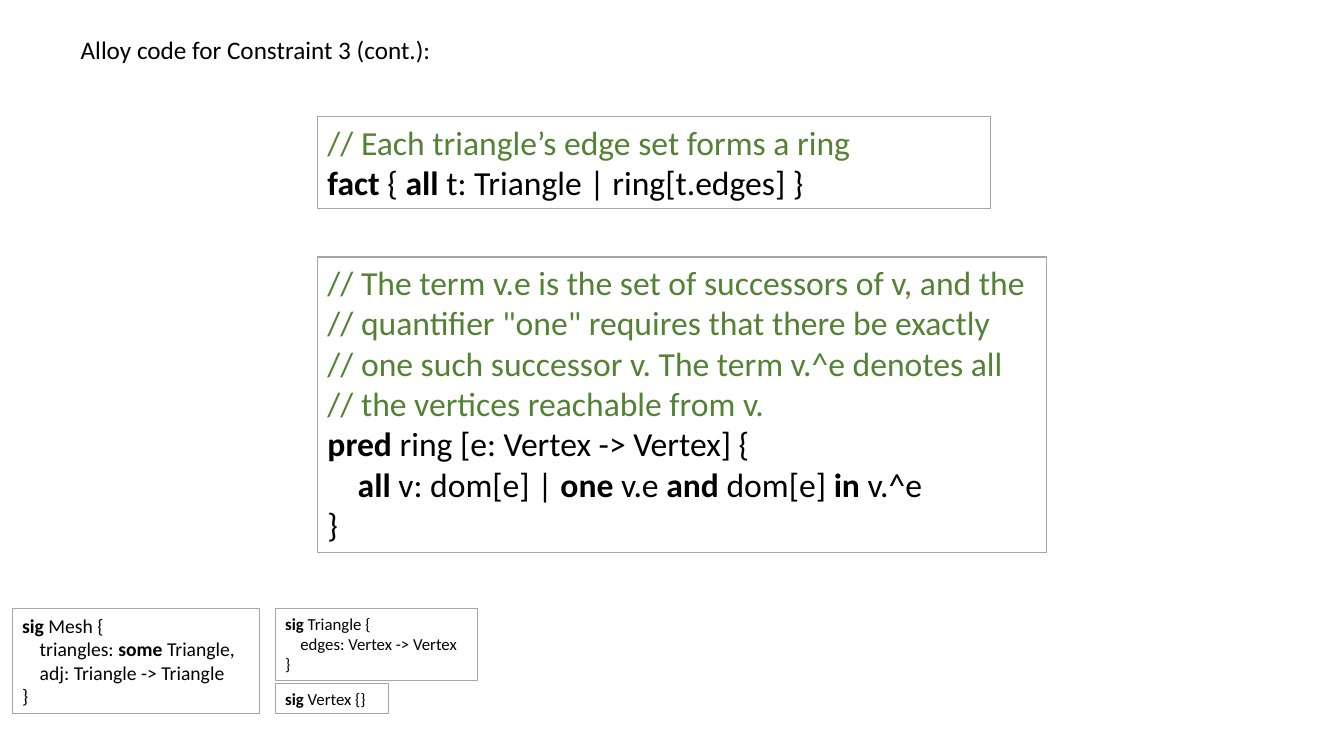
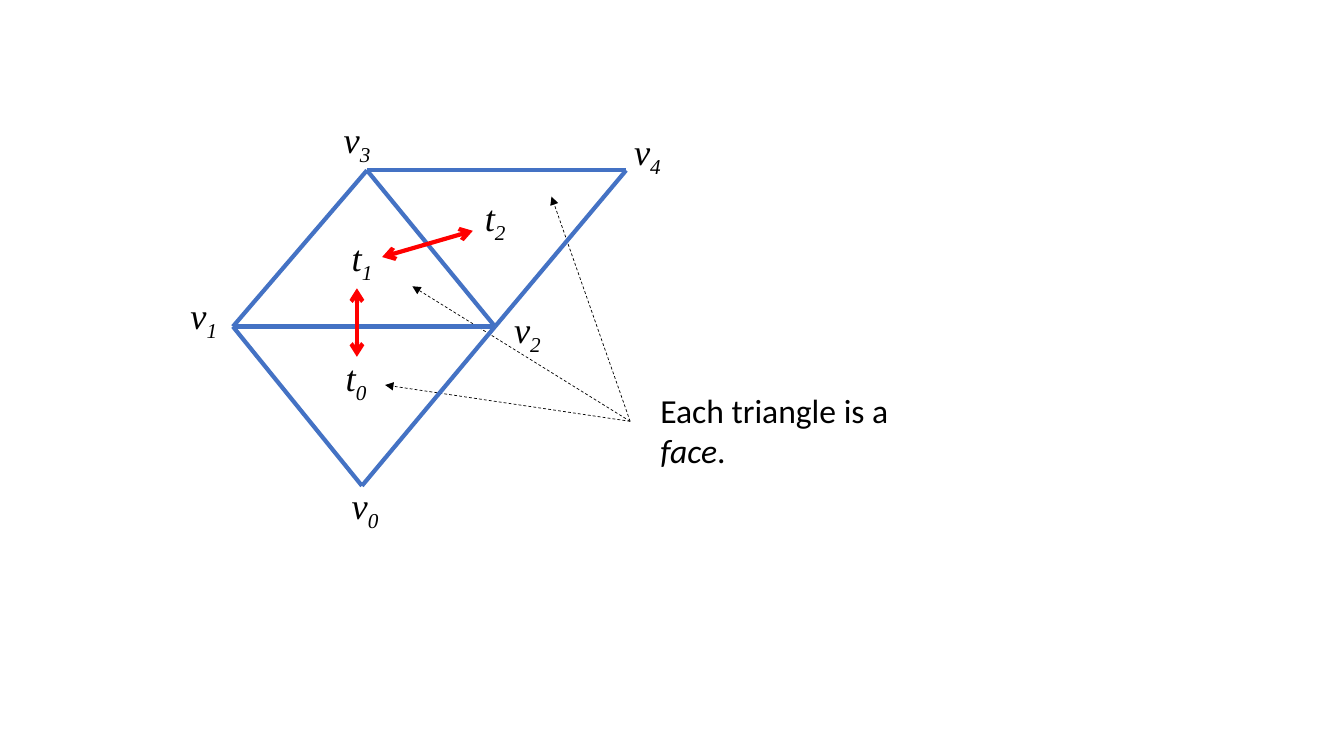
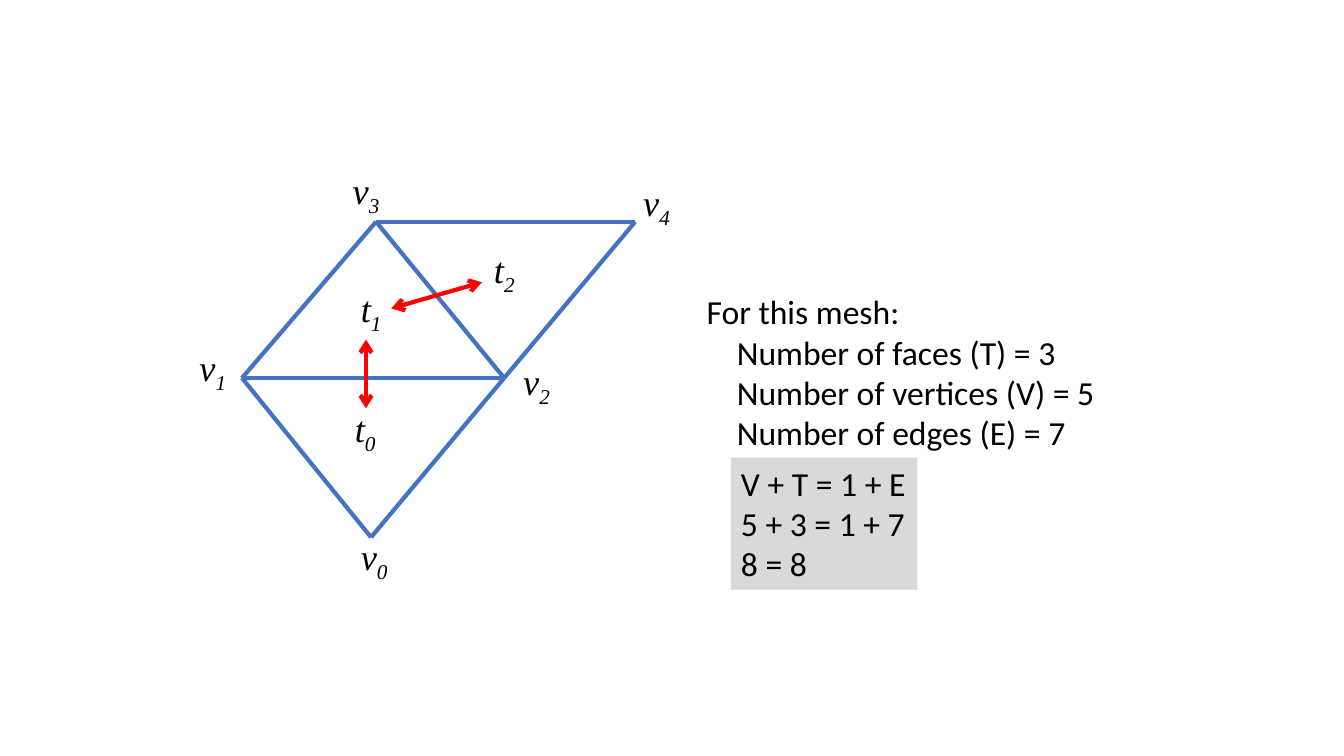
from pptx import Presentation
from pptx.dml.color import RGBColor
from pptx.enum.dml import MSO_LINE
from pptx.enum.shapes import MSO_CONNECTOR
from pptx.enum.text import MSO_ANCHOR, MSO_AUTO_SIZE, PP_ALIGN
from pptx.oxml.ns import qn
from pptx.util import Inches, Pt
from lxml import etree

STRAIGHT = MSO_CONNECTOR.STRAIGHT
DASH = MSO_LINE.DASH
GROW = MSO_AUTO_SIZE.SHAPE_TO_FIT_TEXT
TOP = MSO_ANCHOR.TOP
LEFT = PP_ALIGN.LEFT

BLACK, GREEN, BLUE, RED = "000000", "548235", "4472C4", "FF0000"
BORDER, PANEL = "A6A6A6", "D9D9D9"
SANS, SERIF = "Calibri", "Times New Roman"
INDENT_EM = 0.9
TITLE_ONLY, BLANK = 5, 6

# Text markup: *emphasis*, a leading tab indents, a leading // is a code comment.
TITLE = "Alloy code for Constraint 3 (cont.):"
CODE_BOXES = [  # position and size, text size, lines
    ((3.15, 1.16, 6.67, 0.91), 24, [
        "// Each triangle’s edge set forms a ring",
        "*fact* { *all* t: Triangle | ring[t.edges] }"]),
    ((3.15, 2.55, 7.23, 2.93), 24, [
        "// The term v.e is the set of successors of v, and the",
        '// quantifier "one" requires that there be exactly',
        "// one such successor v. The term v.^e denotes all",
        "// the vertices reachable from v.",
        "*pred* ring [e: Vertex -> Vertex] {",
        "\t*all* v: dom[e] | *one* v.e *and* dom[e] *in* v.^e",
        "}"]),
    ((0.12, 6.04, 2.45, 1.04), 14, [
        "*sig* Mesh {",
        "\ttriangles: *some* Triangle,",
        "\tadj: Triangle -> Triangle",
        "}"]),
    ((2.73, 6.04, 2.01, 0.71), 12, [
        "*sig* Triangle {",
        "\tedges: Vertex -> Vertex",
        "}"]),
    ((2.73, 6.78, 1.12, 0.3), 12, ["*sig* Vertex {}"]),
]

VERTICES = {0: (3.59, 4.82), 1: (2.31, 3.24), 2: (4.91, 3.24),
            3: (3.64, 1.69), 4: (6.21, 1.69)}
EDGES = [(3, 4), (2, 4), (3, 2), (1, 3), (1, 2), (1, 0), (0, 2)]
LABEL_SIZES = {"v": (0.48, 0.54), "t": (0.42, 0.54)}
LABELS = {"v4": (6.19, 1.23), "v2": (5, 3), "v3": (3.31, 1.11),
          "v1": (1.79, 2.86), "v0": (3.39, 4.74), "t0": (3.33, 3.47),
          "t1": (3.39, 2.28), "t2": (4.71, 1.89)}
ADJACENCIES = [((3.54, 2.86), (3.54, 3.54)), ((4.69, 2.29), (3.79, 2.55))]

FACE_NOTE = ["Each triangle is a *face*."]
POINTER_START = (6.25, 4.18)
FACE_POINTS = [(3.82, 3.82), (4.09, 2.84), (5.47, 1.95)]

MESH_SHIFT = (0.09, 0.51)
COUNTS = ["For this mesh:", "\tNumber of faces (T) = 3",
          "\tNumber of vertices (V) = 5", "\tNumber of edges (E) = 7"]
FORMULA = ["V + T = 1 + E", "5 + 3 = 1 + 7", "8 = 8"]


def rgb(color):
    return RGBColor.from_string(color)


def add_run(p, text, size, color=BLACK, font=SANS, **formats):
    r = p.add_run()
    r.text = text
    r.font.color.rgb = rgb(color)
    for name, value in dict(name=font, size=Pt(size), **formats).items():
        setattr(r.font, name, value)
    return r


def write_lines(tf, lines, size, emphasis="bold"):
    for i, line in enumerate(lines):
        p = tf.add_paragraph() if i else tf.paragraphs[0]
        if line.startswith("\t"):
            p._p.get_or_add_pPr().set("marL", str(Pt(INDENT_EM * size)))
        color = GREEN if line.startswith("//") else BLACK
        for j, part in enumerate(line.strip().split("*")):
            if part:
                add_run(p, part, size, color, **{emphasis: j % 2 == 1})


def add_text_box(shapes, box, wrap=True, border=None, fill=None):
    """Add an empty, growing text box and return its text frame."""
    sp = shapes.add_textbox(*map(Inches, box))
    if border:
        sp.line.color.rgb = rgb(border)
        sp.line.width = Pt(0.75)
    if fill:
        sp.fill.solid()
        sp.fill.fore_color.rgb = rgb(fill)
    tf = sp.text_frame
    tf.word_wrap = wrap
    tf.auto_size = GROW
    return tf


def add_line(shapes, start, end, color, width, dash=None, head=None, tail=None):
    line = shapes.add_connector(STRAIGHT, *map(Inches, (*start, *end)))
    line.line.color.rgb = rgb(color)
    line.line.width = Pt(width)
    if dash:
        line.line.dash_style = dash
    ln = line.line._get_or_add_ln()
    for tag, kind in (("a:headEnd", head), ("a:tailEnd", tail)):
        if kind:
            etree.SubElement(ln, qn(tag), type=kind)
    etree.SubElement(line._element.spPr, qn("a:effectLst"))


def add_mesh(slide, shift=(0, 0)):
    group = slide.shapes.add_group_shape()
    shapes = group.shapes
    for a, b in EDGES:
        add_line(shapes, VERTICES[a], VERTICES[b], BLUE, 3)
    for (letter, index), place in LABELS.items():
        tf = add_text_box(shapes, place + LABEL_SIZES[letter], wrap=False)
        p = tf.paragraphs[0]
        add_run(p, letter, 26, font=SERIF, italic=True)
        r = add_run(p, index, 26, font=SERIF, italic=True)
        r.font._element.set("baseline", "-25000")
    for start, end in ADJACENCIES:
        add_line(shapes, start, end, RED, 3, head="arrow", tail="arrow")
    group.left += Inches(shift[0])
    group.top += Inches(shift[1])


def add_slide(prs, layout=BLANK):
    return prs.slides.add_slide(prs.slide_layouts[layout])


def build_code_slide(prs):
    s = add_slide(prs, TITLE_ONLY)
    title = s.shapes.title
    for name, value in zip(("left", "top", "width", "height"), (0.7, 0.29, 3.71, 0.4)):
        setattr(title, name, Inches(value))
    tf = title.text_frame
    for name, value in dict(word_wrap=False, auto_size=GROW, vertical_anchor=TOP).items():
        setattr(tf, name, value)
    tf.paragraphs[0].alignment = LEFT
    write_lines(tf, [TITLE], 18)
    for box, size, lines in CODE_BOXES:
        write_lines(add_text_box(s.shapes, box, border=BORDER), lines, size)


def build_faces_slide(prs):
    s = add_slide(prs)
    for point in FACE_POINTS:
        add_line(s.shapes, POINTER_START, point, BLACK, 0.5, DASH, tail="triangle")
    note = add_text_box(s.shapes, (6.45, 3.82, 2.49, 0.91))
    write_lines(note, FACE_NOTE, 24, "italic")
    add_mesh(s)


def build_counts_slide(prs):
    s = add_slide(prs)
    counts = add_text_box(s.shapes, (6.91, 2.84, 4.09, 1.72), wrap=False)
    write_lines(counts, COUNTS, 24)
    formula = add_text_box(s.shapes, (7.25, 4.54, 1.85, 1.31), wrap=False, fill=PANEL)
    write_lines(formula, FORMULA, 24)
    add_mesh(s, MESH_SHIFT)


def main():
    prs = Presentation()
    prs.slide_width, prs.slide_height = Inches(13.33), Inches(7.5)
    build_code_slide(prs)
    build_faces_slide(prs)
    build_counts_slide(prs)
    prs.save("out.pptx")


if __name__ == "__main__":
    main()
